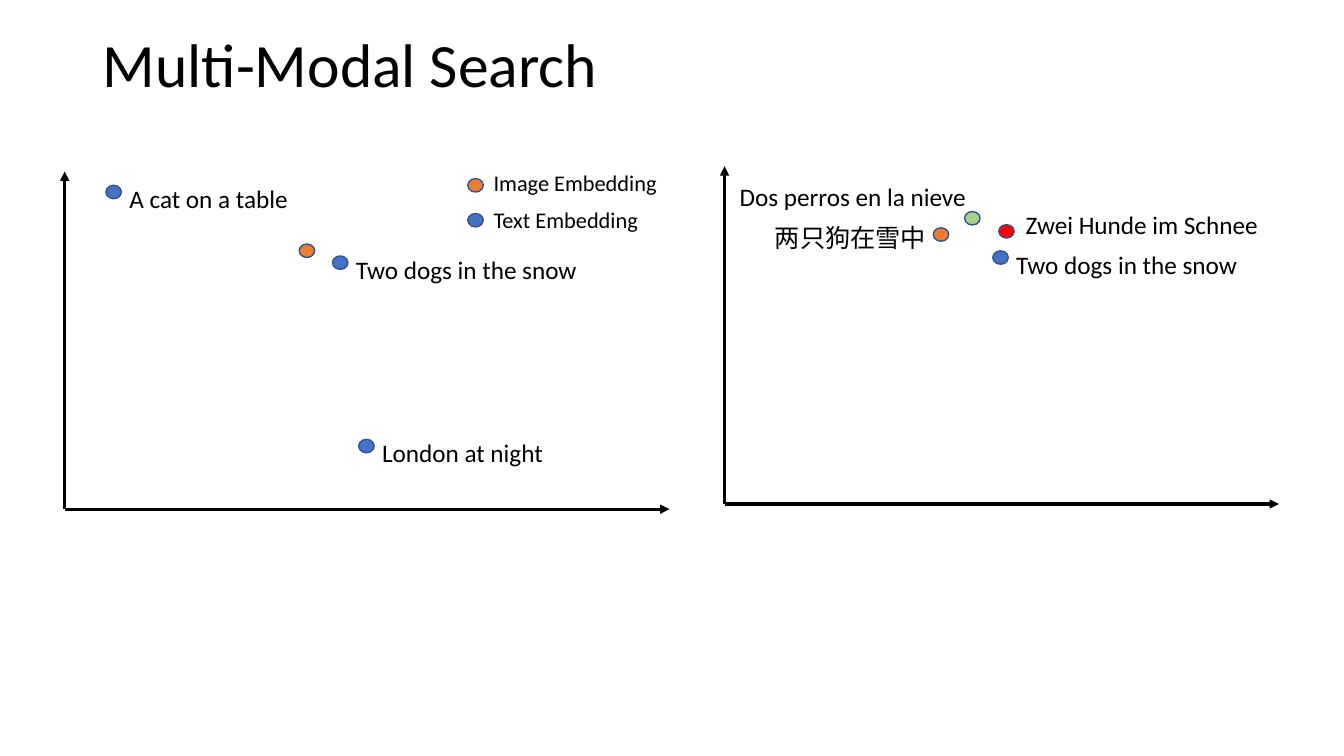
from dataclasses import dataclass
from typing import Optional

from lxml.etree import SubElement
from pptx import Presentation
from pptx.dml.color import RGBColor
from pptx.enum.shapes import MSO_CONNECTOR as Connector, MSO_SHAPE as Shape
from pptx.enum.text import MSO_ANCHOR as Anchor
from pptx.oxml.ns import qn
from pptx.slide import Slide
from pptx.util import Cm, Pt

COLORS = {
    "ink": "000000",
    "outline": "325491",
    "text": "4472C4",
    "image": "ED7D31",
    "german": "FF0000",
    "spanish": "A9D18E",
}
FONT = "Calibri"
DOT_WIDTH, DOT_HEIGHT = 0.39, 0.34


@dataclass
class Axes:
    """Origin and arm lengths of a coordinate system, in cm."""
    x: float
    y: float
    width: float
    height: float = 8.51


@dataclass
class Caption:
    """Text with its offset from the dot it belongs to, in cm."""
    words: str
    width: float
    dx: float = 0.34
    dy: float = -0.17
    height: float = 1.02
    size: int = 18


@dataclass
class Embedding:
    x: float
    y: float
    color: str
    caption: Optional[Caption] = None


AXES = [Axes(18.26, 12.7, 13.97), Axes(1.63, 12.83, 15.24)]

MULTILINGUAL = [
    Embedding(25.02, 6.32, "text", Caption("Two dogs in the snow", 6.15)),
    Embedding(25.17, 5.66, "german", Caption("Zwei Hunde im Schnee", 6.45, 0.43, -0.5)),
    Embedding(24.31, 5.33, "spanish", Caption("Dos perros en la nieve", 6.27, -5.92, -0.88)),
    Embedding(23.52, 5.74, "image", Caption("两只狗在雪中", 4.37, -4.24, -0.25)),
]
ENGLISH = [
    Embedding(8.38, 6.45, "text", Caption("Two dogs in the snow", 6.15)),
    Embedding(7.54, 6.15, "image"),
    Embedding(9.04, 11.07, "text", Caption("London at night", 4.62)),
    Embedding(2.67, 4.67, "text", Caption("A cat on a table", 4.55)),
]
LEGEND = [
    Embedding(11.79, 4.5, "image", Caption("Image Embedding", 4.67, 0.4, -0.36, 0.94, 16)),
    Embedding(11.79, 5.38, "text", Caption("Text Embedding", 4.19, 0.4, -0.3, 0.94, 16)),
]


def rgb(name: str) -> RGBColor:
    return RGBColor.from_string(COLORS[name])


def add_text(slide: Slide, words: str, x: float, y: float, width: float,
             height: float, size: int, wrap: bool = False):
    frame = slide.shapes.add_textbox(Cm(x), Cm(y), Cm(width), Cm(height)).text_frame
    frame.word_wrap = wrap
    frame.text = words
    font = frame.paragraphs[0].runs[0].font
    font.name, font.size = FONT, Pt(size)
    font.color.rgb = rgb("ink")
    return frame


def add_title(slide: Slide, words: str) -> None:
    frame = add_text(slide, words, 2.34, -0.13, 29.21, 3.68, 44, wrap=True)
    frame.vertical_anchor = Anchor.MIDDLE
    frame.paragraphs[0].line_spacing = 0.9


def add_axes(slide: Slide, axes: Axes) -> None:
    """Draw an upward and a rightward arrow from the origin."""
    tips = [(axes.x, axes.y - axes.height), (axes.x + axes.width, axes.y)]
    for tip_x, tip_y in tips:
        arrow = slide.shapes.add_connector(
            Connector.STRAIGHT, Cm(axes.x), Cm(axes.y), Cm(tip_x), Cm(tip_y))
        arrow.line.color.rgb = rgb("ink")
        arrow.line.width = Pt(2.25)
        SubElement(arrow.line._get_or_add_ln(), qn("a:tailEnd"), type="triangle")
        SubElement(arrow._element.spPr, qn("a:effectLst"))


def add_embedding(slide: Slide, embedding: Embedding) -> None:
    """Draw the dot and, if it has one, its caption."""
    dot = slide.shapes.add_shape(
        Shape.OVAL, Cm(embedding.x), Cm(embedding.y), Cm(DOT_WIDTH), Cm(DOT_HEIGHT))
    dot.shadow.inherit = False
    dot.fill.solid()
    dot.fill.fore_color.rgb = rgb(embedding.color)
    dot.line.color.rgb = rgb("outline")
    dot.line.width = Pt(1)
    caption = embedding.caption
    if caption:
        add_text(slide, caption.words, embedding.x + caption.dx,
                 embedding.y + caption.dy, caption.width, caption.height, caption.size)


def main() -> None:
    deck = Presentation()
    deck.slide_width, deck.slide_height = Cm(33.87), Cm(19.05)
    slide = deck.slides.add_slide(deck.slide_layouts[6])
    add_title(slide, "Multi-Modal Search")
    for axes in AXES:
        add_axes(slide, axes)
    for embedding in MULTILINGUAL + ENGLISH + LEGEND:
        add_embedding(slide, embedding)
    deck.save("out.pptx")


if __name__ == "__main__":
    main()
